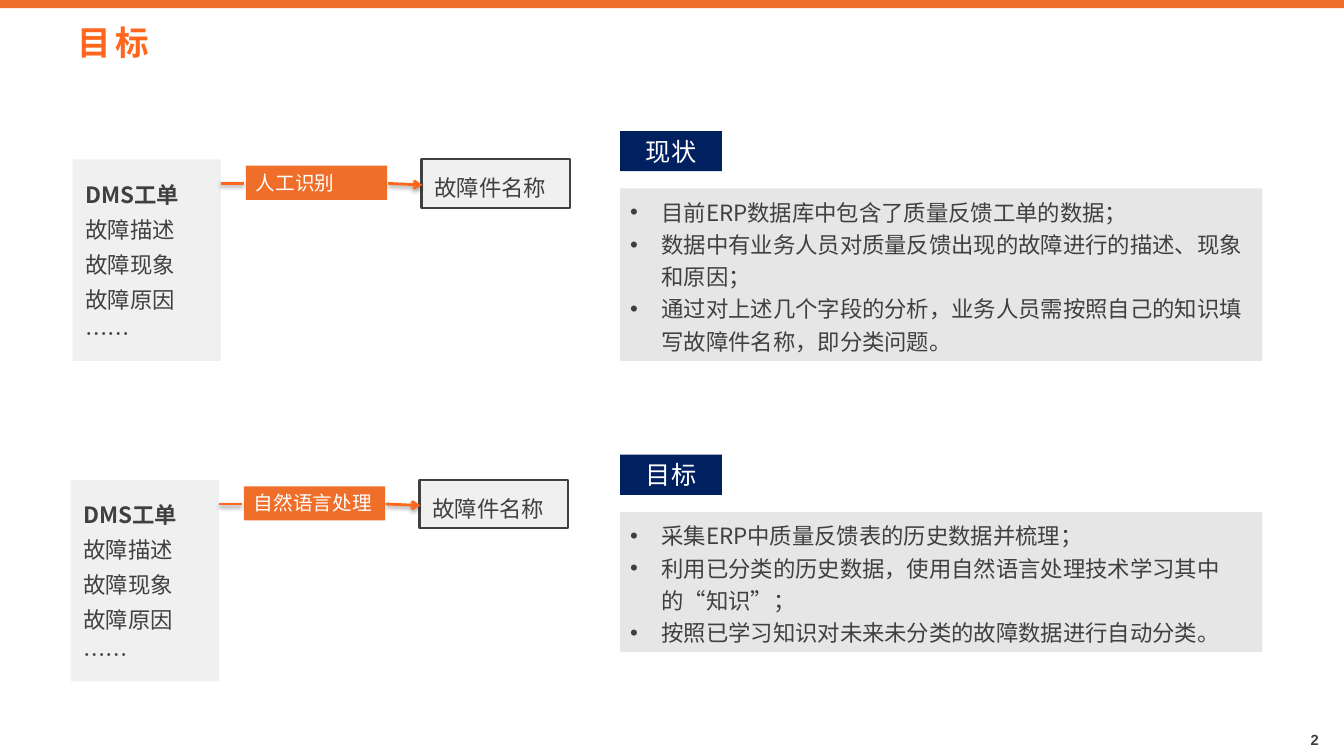
from lxml.etree import SubElement
from pptx import Presentation
from pptx.dml.color import RGBColor
from pptx.enum.shapes import MSO_CONNECTOR as Connector, MSO_SHAPE as Shape
from pptx.enum.text import MSO_ANCHOR as Anchor, MSO_AUTO_SIZE as AutoSize, PP_ALIGN as Align
from pptx.oxml.ns import qn
from pptx.util import Inches, Pt

WIDTH, HEIGHT = Inches(13.33), Inches(7.5)
CJK = "Noto Sans CJK SC"
ORANGE, BRIGHT, NAVY, DARK = "EF6F2A", "FF671F", "002060", "404040"
PALE, GREY, WHITE = "F0F0F0", "E6E6E6", "FFFFFF"
ROOMY = (0.13, 0.07, 0.13, 0.07)

FAULT_FIELDS = ["DMS工单", "故障描述", "故障现象", "故障原因", "……"]
FLOWS = [(5.4, 21.07, "人工识别"), (5.25, 63.47, "自然语言处理")]
PANELS = [
    (17.33, 22.8, "现状", [
        "目前ERP数据库中包含了质量反馈工单的数据；",
        "数据中有业务人员对质量反馈出现的故障进行的描述、现象和原因；",
        "通过对上述几个字段的分析，业务人员需按照自己的知识填写故障件名称，即分类问题。",
    ]),
    (60.13, 18.53, "目标", [
        "采集ERP中质量反馈表的历史数据并梳理；",
        "利用已分类的历史数据，使用自然语言处理技术学习其中的“知识”；",
        "按照已学习知识对未来未分类的故障数据进行自动分类。",
    ]),
]


def across(share):
    """Turn a percentage of the slide width into a length."""
    return round(WIDTH * share / 100)


def down(share):
    """Turn a percentage of the slide height into a length."""
    return round(HEIGHT * share / 100)


def area(left, top, width, height):
    """Turn percentages of the slide into a position and size."""
    return across(left), down(top), across(width), down(height)


def paint(color_format, color):
    """Apply a hex colour to a fill, line or font."""
    if hasattr(color_format, "solid"):
        color_format.solid()
        color_format.fore_color.rgb = RGBColor.from_string(color)
    else:
        color_format.color.rgb = RGBColor.from_string(color)


def apply(target, formats):
    """Set every attribute named in a dict of format values."""
    for name, value in formats.items():
        setattr(target, name, value)


def write(holder, lines, size, color, face=CJK, bold_first=False, spacing=1.0,
          align=Align.LEFT, anchor=Anchor.TOP, insets=(0.1, 0.05, 0.1, 0.05)):
    """Fill a shape with formatted paragraphs."""
    frame = holder.text_frame
    sides = ("margin_left", "margin_top", "margin_right", "margin_bottom")
    apply(frame, {"word_wrap": True, "auto_size": AutoSize.NONE, "vertical_anchor": anchor,
                  **dict(zip(sides, map(Inches, insets)))})
    frame.text = "\n".join(lines)
    for order, paragraph in enumerate(frame.paragraphs):
        apply(paragraph, {"alignment": align, "line_spacing": spacing,
                          "space_before": Pt(0), "space_after": Pt(0)})
        run = paragraph.runs[0]
        apply(run.font, {"size": Pt(size), "bold": bold_first and order == 0, "name": face})
        paint(run.font, color)
        SubElement(run.font._element, qn("a:ea"), typeface=CJK)


def block(shapes, place, fill, outline=None):
    """Add a flat rectangle with an optional outline."""
    box = shapes.add_shape(Shape.RECTANGLE, *area(*place))
    box.shadow.inherit = False
    paint(box.fill, fill)
    if outline:
        paint(box.line, outline)
        box.line.width = Pt(1.5)
    else:
        box.line.fill.background()
    return box


def link(shapes, start, end, arrow=False):
    """Add an orange line with a soft shadow and an optional arrowhead."""
    line = shapes.add_connector(Connector.STRAIGHT, across(start[0]), down(start[1]),
                                across(end[0]), down(end[1]))
    paint(line.line, BRIGHT)
    line.line.width = Pt(2)
    if arrow:
        SubElement(line.line._get_or_add_ln(), qn("a:tailEnd"), type="arrow")
    effects = SubElement(line._element.spPr, qn("a:effectLst"))
    shadow = SubElement(effects, qn("a:outerShdw"), blurRad="40000", dist="20000",
                        dir="5400000", rotWithShape="0")
    shade = SubElement(shadow, qn("a:srgbClr"), val="000000")
    SubElement(shade, qn("a:alpha"), val="38000")


def flow(shapes, left, top, method):
    """Draw one route from the work order to the part name."""
    order = block(shapes, (left, top, 11.03, 26.67), PALE)
    write(order, FAULT_FIELDS, 16, DARK, bold_first=True, spacing=1.3,
          anchor=Anchor.MIDDLE, insets=ROOMY)
    step = block(shapes, (left + 12.9, top + 0.85, 10.5, 4.53), ORANGE)
    write(step, [method], 14, WHITE)
    part = block(shapes, (left + 25.96, top, 11.03, 6.4), PALE, DARK)
    write(part, ["故障件名称"], 16, DARK, spacing=1.3, insets=ROOMY)
    level = top + 3.2
    link(shapes, (left + 11.03, level), (left + 12.75, level))
    link(shapes, (left + 23.48, level), (left + 26.03, level + 0.2), arrow=True)


def panel(shapes, listing, top, height, heading, points):
    """Draw a heading tag and the bulleted list below it."""
    tag = block(shapes, (46.14, top, 7.58, 5.33), NAVY)
    write(tag, [heading], 18, WHITE, align=Align.CENTER)
    apply(listing, dict(zip(("left", "top", "width", "height"),
                            area(46.14, top + 7.6, 47.79, height))))
    paint(listing.fill, GREY)
    write(listing, points, 16, DARK, spacing=1.2)
    for paragraph in listing.text_frame.paragraphs:
        properties = paragraph._p.get_or_add_pPr()
        properties.set("marL", str(Inches(0.31)))
        properties.set("indent", str(-Inches(0.31)))
        SubElement(properties, qn("a:buFont"), typeface="Arial")
        SubElement(properties, qn("a:buChar"), char="•")


def main():
    """Build the slide and save it."""
    deck = Presentation()
    apply(deck, {"slide_width": WIDTH, "slide_height": HEIGHT})
    slide = deck.slides.add_slide(deck.slide_layouts[3])
    shapes = slide.shapes
    title, *listings = slide.placeholders

    block(shapes, (0, 0, 100, 1.07), ORANGE)
    apply(title, dict(zip(("left", "top", "width", "height"), area(5.03, 2.27, 85.22, 6.67))))
    write(title, ["目标"], 24, BRIGHT, face="Arial", bold_first=True)
    title.text_frame.paragraphs[0].runs[0].font._element.set("spc", "300")

    for route in FLOWS:
        flow(shapes, *route)
    for listing, content in zip(listings, PANELS):
        panel(shapes, listing, *content)

    number = shapes.add_textbox(*area(76.29, 95.2, 23.33, 4.67))
    write(number, ["2"], 10.5, DARK, face="Arial", bold_first=True, spacing=Pt(16),
          align=Align.RIGHT, anchor=Anchor.MIDDLE, insets=(0, 0, 0.2, 0))
    deck.save("out.pptx")


if __name__ == "__main__":
    main()
